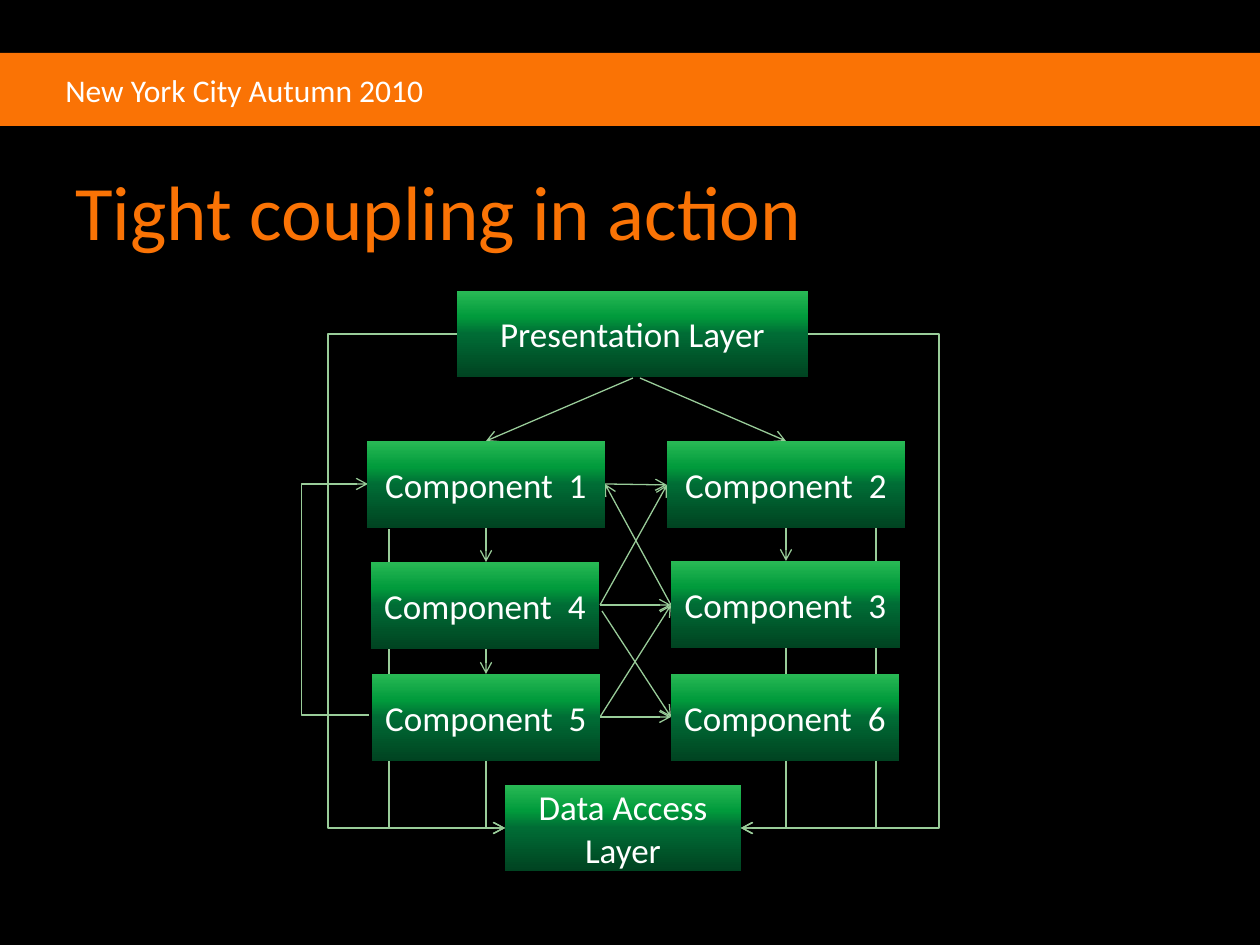
from pptx import Presentation
from pptx.util import Emu, Pt
from pptx.dml.color import RGBColor
from pptx.enum.shapes import MSO_CONNECTOR, MSO_SHAPE
from pptx.enum.text import MSO_ANCHOR, PP_ALIGN
from pptx.oxml.ns import qn
from lxml import etree
from copy import deepcopy

RECT = MSO_SHAPE.RECTANGLE
LINE, ELBOW = MSO_CONNECTOR.STRAIGHT, MSO_CONNECTOR.ELBOW
MID, LEFT, CENTER = MSO_ANCHOR.MIDDLE, PP_ALIGN.LEFT, PP_ALIGN.CENTER
COLORS = {"back": "000000", "brand": "FA7305", "text": "FFFFFF", "line": "99CC99"}
SHADES = [(0, "004321"), (0.5, "006C35"), (0.7, "019B3C"), (1, "29B955")]


def px(n):
    return Emu(round(n * 914400 / 126))


class Deck:
    """Draws styled elements on one slide, with lengths in px."""

    def __init__(self, wide, high):
        self.prs = Presentation()
        self.prs.slide_width, self.prs.slide_height = px(wide), px(high)
        self.slide = self.prs.slides.add_slide(self.prs.slide_layouts[6])
        self.paint(self.slide.background.fill, "back")

    def paint(self, fill, color):
        fill.solid()
        fill.fore_color.rgb = RGBColor.from_string(COLORS[color])

    def letter(self, shape, text, size, color="text", align=LEFT, wrap=True):
        frame = shape.text_frame
        frame.word_wrap, frame.vertical_anchor = wrap, MID
        para = frame.paragraphs[0]
        para.text, para.alignment = text, align
        for key, value in {"name": "Calibri", "size": Pt(size)}.items():
            setattr(para.font, key, value)
        para.font.color.rgb = RGBColor.from_string(COLORS[color])

    def rect(self, *area):
        shape = self.slide.shapes.add_shape(RECT, *map(px, area))
        shape.shadow.inherit = False
        shape.line.fill.background()
        return shape

    def band(self, *area):
        self.paint(self.rect(*area).fill, "brand")

    def label(self, text, area, size, **look):
        self.letter(self.slide.shapes.add_textbox(*map(px, area)), text, size, **look)

    def box(self, text, *area):
        shape = self.rect(*area)
        fill = shape.fill
        fill.gradient()
        fill.gradient_angle = 90
        stops = next(shape._element.iter(qn("a:gsLst")))
        for _ in SHADES[len(stops):]:
            stops.append(deepcopy(stops[0]))
        for stop, (place, shade) in zip(fill.gradient_stops, SHADES):
            stop.position = place
            stop.color.rgb = RGBColor.from_string(shade)
        self.letter(shape, text, 20, align=CENTER)

    def arrow(self, *ends, kind=LINE):
        link = self.slide.shapes.add_connector(kind, *map(px, ends))
        link.line.width = Pt(0.75)
        link.line.color.rgb = RGBColor.from_string(COLORS["line"])
        props = link._element.spPr
        etree.SubElement(props.find(qn("a:ln")), qn("a:tailEnd"), type="arrow")
        etree.SubElement(props, qn("a:effectLst"))
        return link

    def bend(self, x1, y1, x2, y2, turn):
        link = self.arrow(x1, y1, x2, y2, kind=ELBOW)
        ratio = round((turn - x1) / (x2 - x1) * 100000)
        guides = next(link._element.iter(qn("a:avLst")))
        etree.SubElement(guides, qn("a:gd"), name="adj1", fmla=f"val {ratio}")


ARROWS = [
    (633, 378, 486, 441), (640, 378, 786, 441),
    (486, 528, 486, 562), (486, 648, 486, 674), (786, 528, 786, 561),
    (605, 484, 667, 485), (671, 605, 605, 484), (600, 605, 667, 485),
    (600, 605, 671, 605), (600, 717, 671, 605),
    (602, 611, 671, 717), (600, 717, 671, 717),
]
BENDS = [
    (457, 334, 505, 828, 328), (389, 529, 505, 828, 389),
    (486, 761, 505, 828, 486), (369, 715, 368, 484, 301),
    (808, 334, 741, 828, 939), (876, 528, 741, 828, 876),
    (786, 648, 741, 828, 786),
]
PARTS = [
    (1, 367, 441, 238), (2, 667, 441, 238), (3, 671, 561, 229),
    (4, 371, 562, 228), (5, 372, 674, 228), (6, 671, 674, 228),
]


def main():
    deck = Deck(1260, 945)
    deck.band(0, 53, 1260, 73)
    deck.label("New York City Autumn 2010", (53, 64, 387, 51), 18, wrap=False)
    deck.label("Tight coupling in action", (63, 147, 1134, 126), 44, color="brand")
    for ends in ARROWS:
        deck.arrow(*ends)
    for route in BENDS:
        deck.bend(*route)
    for num, x, y, wide in PARTS:
        deck.box(f"Component  {num}", x, y, wide, 87)
    deck.box("Presentation Layer", 457, 291, 351, 86)
    deck.box("Data Access Layer", 505, 785, 236, 86)
    deck.prs.save("out.pptx")


if __name__ == "__main__":
    main()
